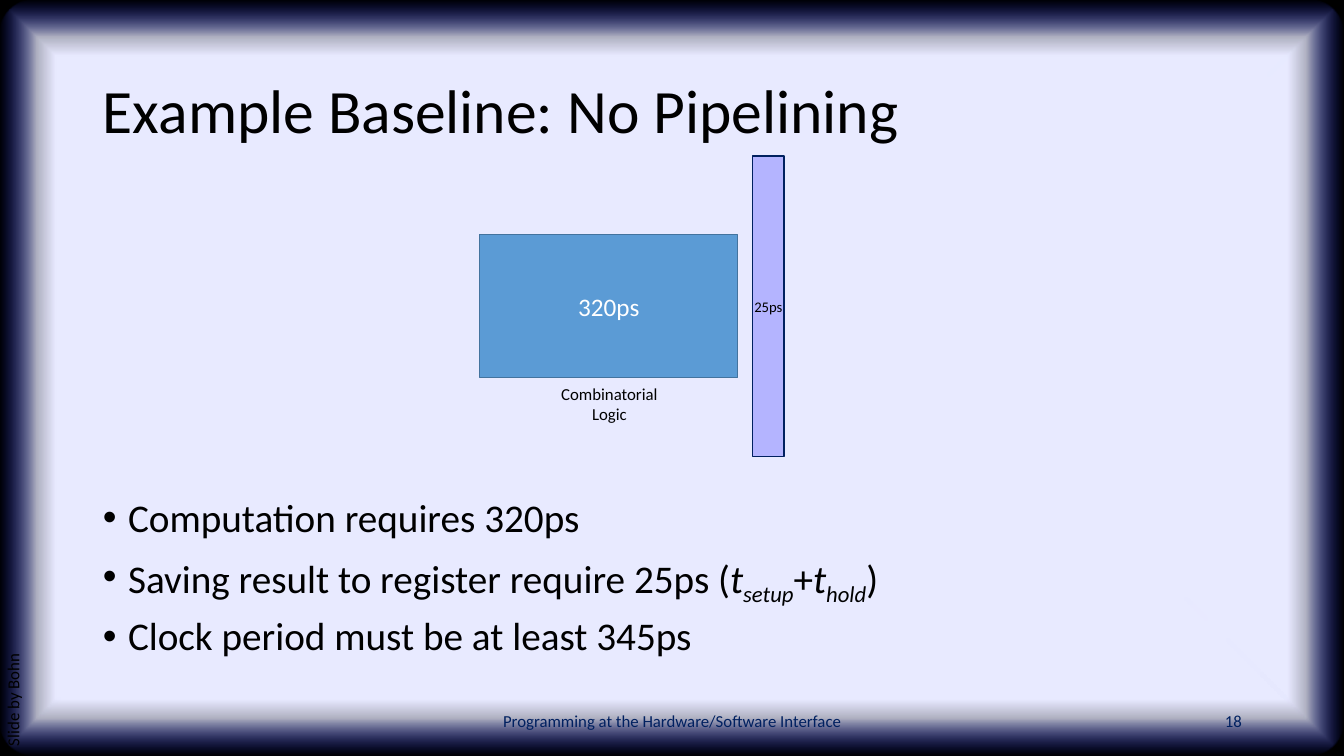
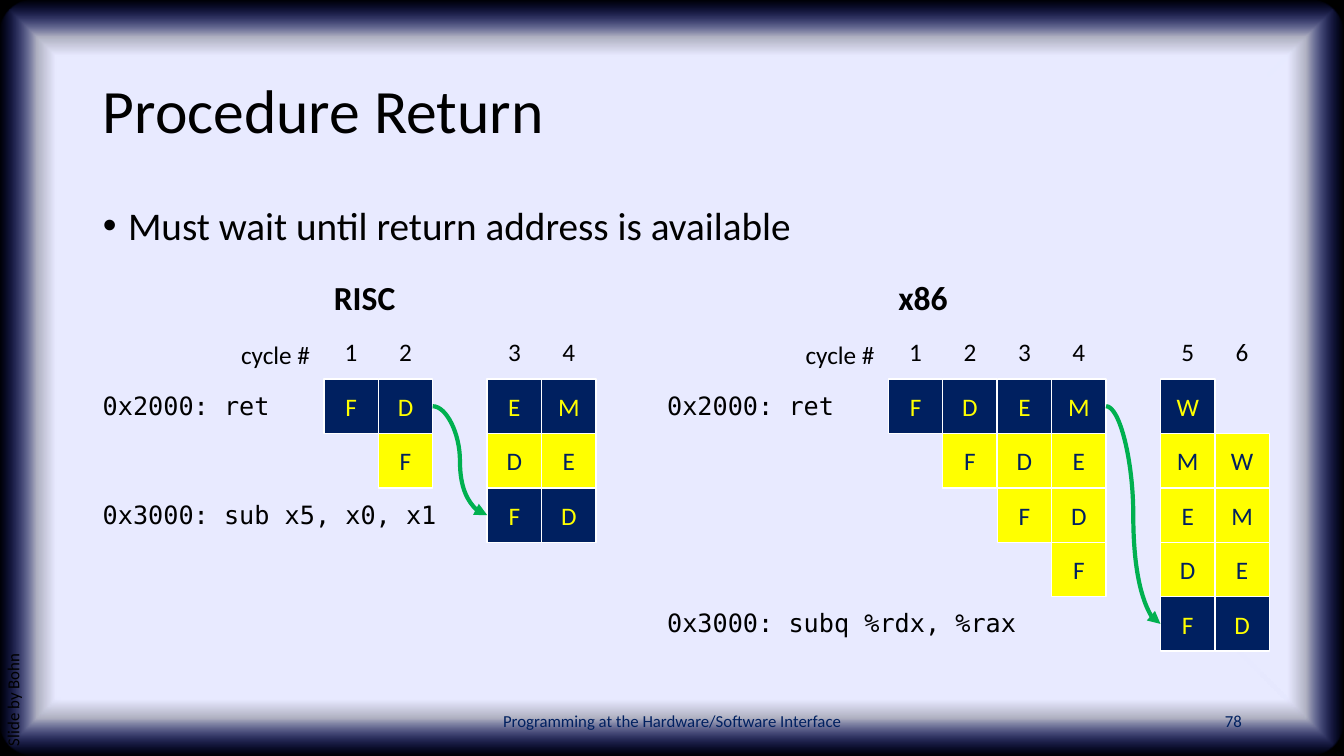
"""Build two slides on pipelining: an unpipelined baseline and procedure return."""
from dataclasses import dataclass

from pptx import Presentation
from pptx.dml.color import RGBColor
from pptx.enum.shapes import MSO_CONNECTOR as CONN, MSO_SHAPE as SHAPE
from pptx.enum.text import MSO_ANCHOR as ANCHOR, MSO_AUTO_SIZE as AUTO, PP_ALIGN as ALIGN
from pptx.oxml import parse_xml
from pptx.oxml.ns import nsdecls
from pptx.util import Pt

PX = 6096


@dataclass(frozen=True)
class Theme:
    black: str = "000000"
    white: str = "FFFFFF"
    navy: str = "002060"
    yellow: str = "FFFF00"
    green: str = "00B050"
    blue: str = "5B9BD5"
    blue_edge: str = "43739E"
    lilac: str = "B4B4FF"
    paper: str = "E8EAFF"
    glow: str = "162AFF"
    font: str = "Calibri"
    mono: str = "DejaVu Sans Mono"
    title: float = 44
    body: float = 28
    heading: float = 24
    label: float = 18
    small: float = 12
    tiny: float = 10.5


T = Theme()


def write(sp, paras, size, color=T.black, align=ALIGN.LEFT, font=T.font,
          bold=False, anchor=ANCHOR.MIDDLE, wrap=True):
    """Fill a shape with paragraphs, each a string or a list of (text, italic, baseline)."""
    tf = sp.text_frame
    tf.auto_size, tf.word_wrap, tf.vertical_anchor = AUTO.NONE, wrap, anchor
    for i, para in enumerate(paras):
        p = tf.add_paragraph() if i else tf.paragraphs[0]
        p.alignment = align
        for text, italic, baseline in [(para, False, 0)] if isinstance(para, str) else para:
            r = p.add_run()
            r.text = text
            r.font.name, r.font.size, r.font.bold = font, Pt(size), bold
            r.font.color.rgb = RGBColor.from_string(color)
            if italic:
                r.font.italic = True
            if baseline:
                r._r.get_or_add_rPr().set("baseline", str(baseline * 1000))
    return tf.paragraphs


def box(s, at, fill=None, edge=None, kind=SHAPE.RECTANGLE):
    """Add a text box, or a preset shape when a fill is given; at is in px."""
    at = [v * PX for v in at]
    if fill is None:
        return s.shapes.add_textbox(*at)
    sp = s.shapes.add_shape(kind, *at)
    sp.shadow.inherit = False
    sp.fill.solid()
    sp.fill.fore_color.rgb = RGBColor.from_string(fill)
    if edge:
        sp.line.color.rgb = RGBColor.from_string(edge)
        sp.line.width = Pt(1)
    else:
        sp.line.fill.background()
    return sp


prs = Presentation()
W, H = 2000, 1125
prs.slide_width, prs.slide_height = W * PX, H * PX
layout = prs.slide_layouts[1]
title = layout.placeholders[0]
title.left, title.top, title.width, title.height = [v * PX for v in (138, 60, 1725, 218)]

CONTENT = [
    ("Example Baseline: No Pipelining", "18", (138, 734, 1725, 281), [
        "Computation requires 320ps",
        [("Saving result to register require 25ps (", False, 0),
         ("t", True, 0), ("setup", True, -25), ("+", False, 0),
         ("t", True, 0), ("hold", True, -25), (")", False, 0)],
        "Clock period must be at least 345ps"]),
    ("Procedure Return", "78", (138, 300, 1725, 90),
     ["Must wait until return address is available"]),
]

for heading, number, place, bullets in CONTENT:
    s = prs.slides.add_slide(layout)
    write(s.shapes.title, [heading], T.title)[0].line_spacing = 0.9
    body = s.placeholders[1]
    body.left, body.top, body.width, body.height = [v * PX for v in place]
    for p in write(body, bullets, T.body, anchor=ANCHOR.TOP):
        p.line_spacing, p.space_before = 0.9, Pt(10)
        pPr = p._p.get_or_add_pPr()
        pPr.set("marL", "228600")
        pPr.set("indent", "-228600")
    write(box(s, (663, 1043, 675, 60)), ["Programming at the Hardware/Software Interface"],
          T.small, T.navy, ALIGN.CENTER)
    write(box(s, (1413, 1043, 450, 60)), [number], T.small, T.navy, ALIGN.RIGHT)
    credit = box(s, (-366, 699, 792, 60))
    credit.rotation = 270
    p = write(credit, ["Slide by Bohn"], T.small, anchor=ANCHOR.TOP)[0]
    p.line_spacing, p.space_before = 0.9, Pt(10)

baseline, procedure = prs.slides

backdrop = box(baseline, (0, 0, W, H), T.black)
frame = box(baseline, (0, 0, W, H), T.paper, kind=SHAPE.ROUNDED_RECTANGLE)
frame.adjustments[0] = 0.048
stops = "".join(
    f'<a:gs pos="{pos}000"><a:srgbClr val="{color}"><a:alpha val="{alpha}000"/></a:srgbClr></a:gs>'
    for pos, color, alpha in ((85, T.paper, 100), (90, T.paper, 75), (100, T.glow, 0)))
gradient = parse_xml(
    f'<a:gradFill {nsdecls("a")} rotWithShape="1"><a:gsLst>{stops}</a:gsLst><a:path path="shape">'
    '<a:fillToRect l="50000" t="50000" r="50000" b="50000"/></a:path></a:gradFill>')
spPr = frame._element.spPr
spPr.replace(spPr.solidFill, gradient)
for i, sp in enumerate((backdrop, frame)):
    prs.slide_master.shapes._spTree.insert(2 + i, sp._element)

write(box(baseline, (819, 563, 176, 75)), ["Combinatorial", "Logic"], T.small,
      align=ALIGN.CENTER, anchor=ANCHOR.TOP, wrap=False)
write(box(baseline, (1120, 232, 47, 447), T.lilac, T.navy), ["25ps"], T.tiny,
      align=ALIGN.CENTER, wrap=False)
write(box(baseline, (714, 349, 384, 213), T.blue, T.blue_edge), ["320ps"], T.label,
      T.white, ALIGN.CENTER)

CELL, TOP = 81, 564
PANELS = [
    (138, "RISC", "12 34", "0x3000: sub x5, x0, x1",
     ["FD EM", " F DE", "   FD"]),
    (978, "x86", "1234 56", "0x3000: subq %rdx, %rax",
     ["FDEM W", " FDE MW", "  FD EM", "   F DE", "     FD"]),
]

for left, name, cycles, target, stages in PANELS:
    x0, last, gap = left + 344, len(stages) - 1, cycles.index(" ")
    write(box(procedure, (x0, 405, 134, 75)), [name], T.heading, bold=True, anchor=ANCHOR.TOP)
    write(box(procedure, (left + 206, 497, 138, 60)), ["cycle #"], T.label,
          anchor=ANCHOR.TOP, wrap=False)
    for row, code in ((0, "0x2000: ret"), (last, target)):
        write(box(procedure, (left, TOP + row * CELL + 9, 552, 60)), [code], T.label,
              font=T.mono, anchor=ANCHOR.TOP)
    for col, cycle in enumerate(cycles):
        if cycle != " ":
            write(box(procedure, (x0 + col * CELL, TOP - CELL, CELL, CELL)), [cycle],
                  T.label, align=ALIGN.CENTER)
    cells = {}
    for row, line in enumerate(stages):
        fill, ink = (T.navy, T.yellow) if row in (0, last) else (T.yellow, T.navy)
        for col, stage in enumerate(line):
            if stage != " ":
                sp = box(procedure, (x0 + col * CELL, TOP + row * CELL, CELL, CELL), fill, T.white)
                write(sp, [stage], T.label, ink, ALIGN.CENTER)
                cells[row, col] = sp
    arrow = procedure.shapes.add_connector(CONN.CURVE, 0, 0, 0, 0)
    arrow.begin_connect(cells[0, gap - 1], 3)
    arrow.end_connect(cells[last, gap + 1], 1)
    arrow.line.color.rgb = RGBColor.from_string(T.green)
    arrow.line.width = Pt(3)
    arrow.line._get_or_add_ln().append(parse_xml(f'<a:tailEnd {nsdecls("a")} type="triangle"/>'))
    arrow._element.spPr.append(parse_xml(f'<a:effectLst {nsdecls("a")}/>'))

prs.save("out.pptx")
